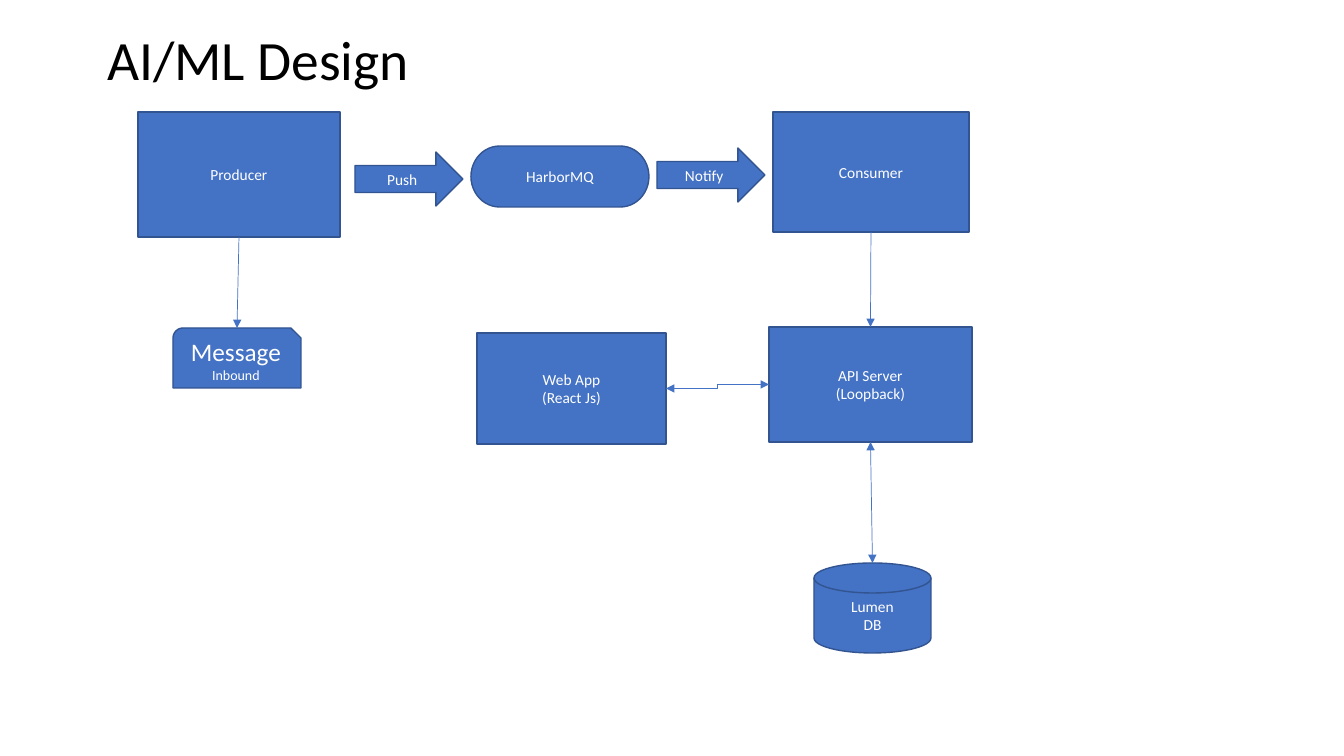
from lxml import etree
from pptx import Presentation
from pptx.dml.color import RGBColor
from pptx.enum.shapes import MSO_CONNECTOR as LINE, MSO_SHAPE as SHAPE
from pptx.enum.text import MSO_ANCHOR, PP_ALIGN
from pptx.oxml.ns import qn
from pptx.util import Emu, Pt

PX = 914400 / 100.8
FONT = "Calibri"
COLORS = {"fill": "4472C4", "edge": "325491", "light": "FFFFFF", "dark": "000000"}
SITES = {"top": 0, "left": 1, "bottom": 2, "right": 3}
GLUED = (SHAPE.RECTANGLE, SHAPE.FLOWCHART_PROCESS)


def px(n):
    return Emu(round(n * PX))


def color(name):
    return RGBColor.from_string(COLORS[name])


def write(p, text, size=11, ink="light", align=PP_ALIGN.CENTER, spacing=None):
    p.alignment = align
    p.line_spacing = spacing
    r = p.add_run()
    r.text = text
    r.font.name = FONT
    r.font.size = Pt(size)
    r.font.color.rgb = color(ink)


def add_title(s, text, x, y, w, h):
    sp = s.shapes.title
    sp.left, sp.top, sp.width, sp.height = px(x), px(y), px(w), px(h)
    tf = sp.text_frame
    tf.word_wrap = True
    tf.vertical_anchor = MSO_ANCHOR.MIDDLE
    write(tf.paragraphs[0], text, size=39.6, ink="dark", align=PP_ALIGN.LEFT, spacing=0.9)


def add_node(s, kind, x, y, w, h, *lines, sizes=(11, 11)):
    sp = s.shapes.add_shape(kind, px(x), px(y), px(w), px(h))
    sp.shadow.inherit = False
    sp.fill.solid()
    sp.fill.fore_color.rgb = color("fill")
    sp.line.color.rgb = color("edge")
    sp.line.width = Pt(1)
    tf = sp.text_frame
    tf.word_wrap = True
    tf.vertical_anchor = MSO_ANCHOR.MIDDLE
    for i, (text, size) in enumerate(zip(lines, sizes)):
        p = tf.add_paragraph() if i else tf.paragraphs[0]
        write(p, text, size=size)
    return sp


def side_point(sp, side):
    mid_x, mid_y = sp.left + sp.width // 2, sp.top + sp.height // 2
    return {"top": (mid_x, sp.top), "bottom": (mid_x, sp.top + sp.height),
            "left": (sp.left, mid_y), "right": (sp.left + sp.width, mid_y)}[side]


def link(s, start, start_side, end, end_side, kind=LINE.STRAIGHT, both=False):
    c = s.shapes.add_connector(kind, *side_point(start, start_side), *side_point(end, end_side))
    # Only rectangles number their connection sites in the order of SITES
    if start.auto_shape_type in GLUED:
        c.begin_connect(start, SITES[start_side])
    if end.auto_shape_type in GLUED:
        c.end_connect(end, SITES[end_side])
    c.line.color.rgb = color("fill")
    c.line.width = Pt(0.5)
    ln = c.line._get_or_add_ln()
    for tag in ("a:headEnd", "a:tailEnd") if both else ("a:tailEnd",):
        etree.SubElement(ln, qn(tag), type="triangle")
    etree.SubElement(c._element.spPr, qn("a:effectLst"))


def main():
    prs = Presentation()
    prs.slide_width, prs.slide_height = px(1344), px(756)
    s = prs.slides.add_slide(prs.slide_layouts[5])
    add_title(s, "AI/ML Design", 97, 39, 1155, 47)

    # Message flow
    producer = add_node(s, SHAPE.RECTANGLE, 138, 112, 202, 125, "Producer")
    add_node(s, SHAPE.RIGHT_ARROW, 355, 152, 108, 54, "Push")
    add_node(s, SHAPE.FLOWCHART_TERMINATOR, 471, 146, 178, 61, "HarborMQ")
    add_node(s, SHAPE.RIGHT_ARROW, 657, 148, 108, 54, "Notify")
    consumer = add_node(s, SHAPE.RECTANGLE, 773, 112, 196, 120, "Consumer")
    message = add_node(s, SHAPE.SNIP_ROUND_RECTANGLE, 173, 328, 128, 60,
                       "Message", "Inbound", sizes=(18, 10))

    # Application and storage
    web_app = add_node(s, SHAPE.RECTANGLE, 477, 333, 189, 111, "Web App", "(React Js)")
    api = add_node(s, SHAPE.FLOWCHART_PROCESS, 769, 327, 203, 115, "API Server", "(Loopback)")
    database = add_node(s, SHAPE.FLOWCHART_MAGNETIC_DISK, 814, 563, 117, 90, "Lumen", "DB")

    # Connections
    link(s, producer, "bottom", message, "top")
    link(s, consumer, "bottom", api, "top")
    link(s, web_app, "right", api, "left", kind=LINE.ELBOW, both=True)
    link(s, api, "bottom", database, "top", both=True)

    prs.save("out.pptx")


main()
